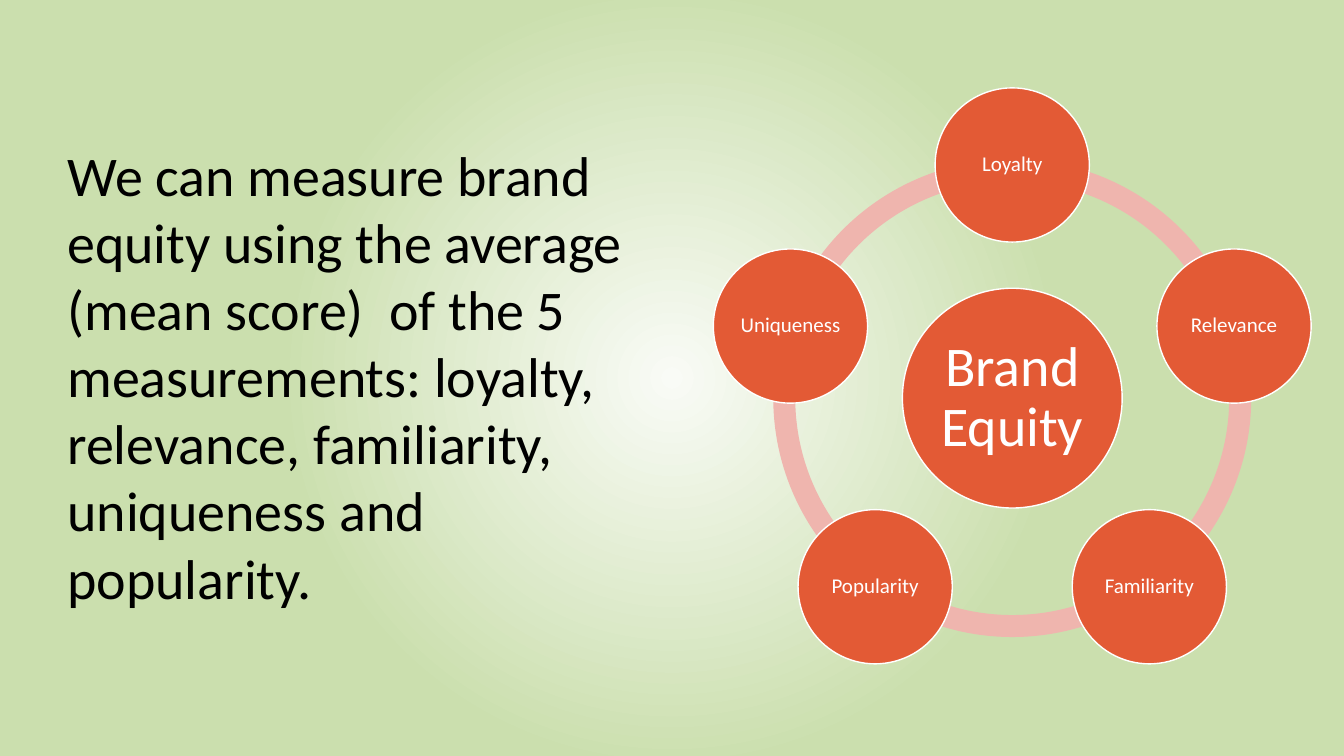
from math import cos, radians, sin

from lxml import etree
from pptx import Presentation
from pptx.dml.color import RGBColor
from pptx.enum.shapes import MSO_SHAPE
from pptx.enum.text import MSO_ANCHOR, MSO_AUTO_SIZE, PP_ALIGN
from pptx.oxml.ns import qn
from pptx.util import Inches, Pt

ARC, OVAL = MSO_SHAPE.BLOCK_ARC, MSO_SHAPE.OVAL
TOP, MIDDLE = MSO_ANCHOR.TOP, MSO_ANCHOR.MIDDLE
LEFT, CENTER = PP_ALIGN.LEFT, PP_ALIGN.CENTER
GROW, FIXED = MSO_AUTO_SIZE.SHAPE_TO_FIT_TEXT, MSO_AUTO_SIZE.NONE

FONT = "Calibri"
ORANGE, PINK, WHITE, BLACK = "E35A35", "EFB5AE", "FFFFFF", "000000"
STOPS = [(0, "F9FBF6", 100), (51, "CBDFAE", 63), (100, "CBDFAE", 100)]
TRAITS = ["Loyalty", "Relevance", "Familiarity", "Popularity", "Uniqueness"]
MESSAGE = ("We can measure brand equity using the average (mean score)  of the 5 "
           "measurements: loyalty, relevance, familiarity, uniqueness and popularity.")


def color(code):
    return RGBColor.from_string(code)


def backdrop(slide):
    """Fill the background with a gradient that spreads from the centre."""
    fill = slide.background.fill
    fill.gradient()
    grad = slide.background._cSld.find(".//" + qn("a:gradFill"))
    for child in list(grad):
        grad.remove(child)
    stops = etree.SubElement(grad, qn("a:gsLst"))
    for place, code, alpha in STOPS:
        stop = etree.SubElement(stops, qn("a:gs"), pos=str(place * 1000))
        tint = etree.SubElement(stop, qn("a:srgbClr"), val=code)
        if alpha < 100:
            etree.SubElement(tint, qn("a:alpha"), val=str(alpha * 1000))
    path = etree.SubElement(grad, qn("a:path"), path="circle")
    etree.SubElement(path, qn("a:fillToRect"), l="50000", t="50000", r="50000", b="50000")


def write(shape, text, size, code=WHITE, align=CENTER, anchor=MIDDLE,
          inset=None, spacing=None, fit=FIXED):
    frame = shape.text_frame
    frame.word_wrap = True
    frame.auto_size = fit
    frame.vertical_anchor = anchor
    if inset is not None:
        frame.margin_left = frame.margin_right = Inches(inset)
        frame.margin_top = frame.margin_bottom = Inches(inset)
    para = frame.paragraphs[0]
    para.alignment = align
    para.line_spacing = spacing
    run = para.add_run()
    run.text = text
    run.font.name = FONT
    run.font.size = Pt(size)
    run.font.color.rgb = color(code)


def place(group, kind, x, y, size, code):
    """Add a plain square-boxed shape centred on x, y."""
    shape = group.shapes.add_shape(kind, Inches(x - size / 2), Inches(y - size / 2),
                                   Inches(size), Inches(size))
    shape.shadow.inherit = False
    shape.fill.solid()
    shape.fill.fore_color.rgb = color(code)
    shape.line.fill.background()
    return shape


def disc(group, x, y, size, text, points, inset):
    shape = place(group, OVAL, x, y, size, ORANGE)
    shape.line.color.rgb = color(WHITE)
    shape.line.width = Pt(1)
    write(shape, text, points, inset=inset, spacing=0.9)


def wheel(slide, left, top, size):
    """Draw the ring of arcs, the hub and the traits; the box is the ring's."""
    group = slide.shapes.add_group_shape()
    x, y = left + size / 2, top + size / 2
    orbit = size * 0.488
    step = 360 / len(TRAITS)
    angles = [270 + step * i for i in range(len(TRAITS))]
    for angle in angles:
        arc = place(group, ARC, x, y, size, PINK)
        arc.adjustments[0] = angle % 360 * 0.6
        arc.adjustments[1] = (angle + step) % 360 * 0.6
        arc.adjustments[2] = 0.046
    disc(group, x, y, 2.18, "Brand Equity", 40, 0.06)
    for angle, trait in zip(angles, TRAITS):
        turn = radians(angle)
        disc(group, x + orbit * cos(turn), y + orbit * sin(turn), 1.53, trait, 15, 0.02)


def message(slide, left, top, width, height):
    box = slide.shapes.add_textbox(Inches(left), Inches(top), Inches(width), Inches(height))
    write(box, MESSAGE, 40, code=BLACK, align=LEFT, anchor=TOP, fit=GROW)


def main():
    deck = Presentation()
    deck.slide_width, deck.slide_height = Inches(13.33), Inches(7.5)
    slide = deck.slides.add_slide(deck.slide_layouts[6])
    backdrop(slide)
    wheel(slide, 7.67, 1.58, 4.74)
    message(slide, 0.57, 1.34, 6.1, 4.81)
    deck.save("out.pptx")


if __name__ == "__main__":
    main()
